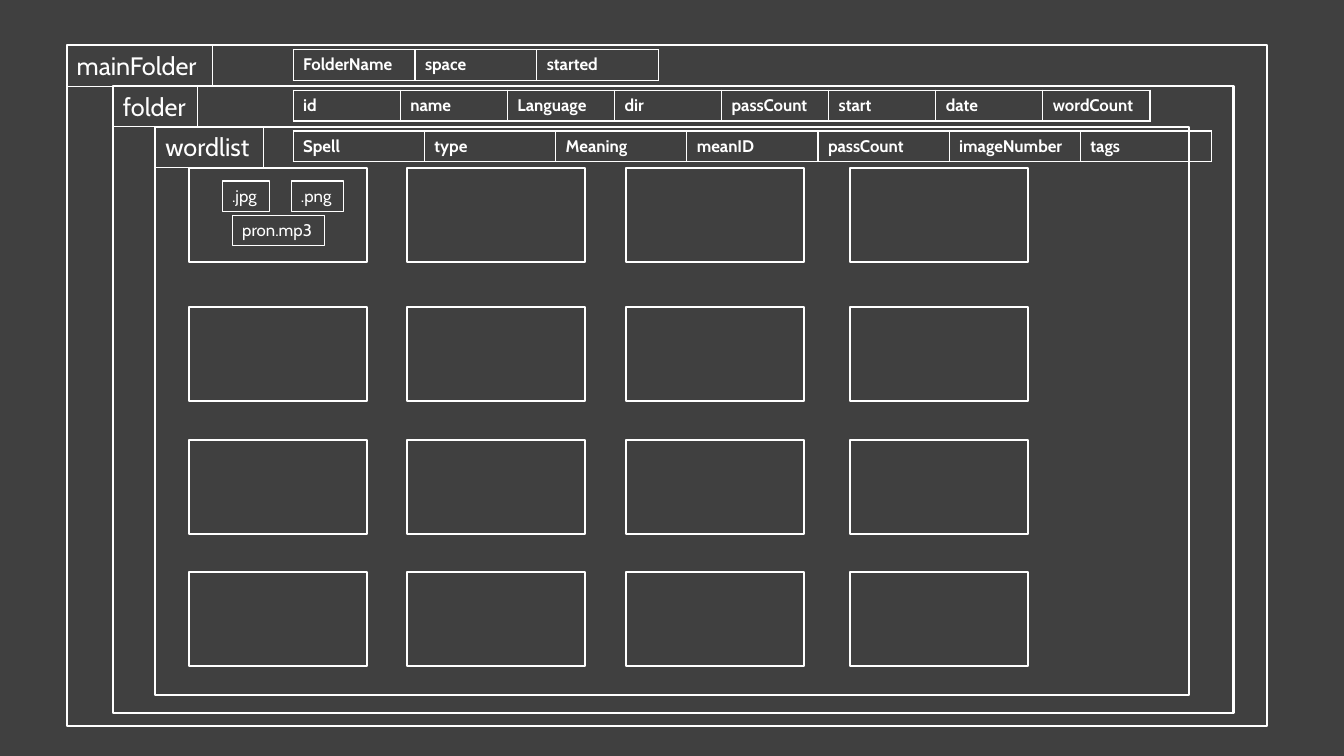
from lxml import etree
from pptx import Presentation, util as u
from pptx.dml.color import RGBColor
from pptx.enum import shapes, text
from pptx.oxml import ns

COLUMNS, ROWS = 160, 90
LABEL_HEIGHT, FIELD_HEIGHT = 4.85, 3.65
FIELDS_LEFT, FIELDS_DROP = 34.9, 0.5

# name, folder outline, label width, width of the field table, fields
FOLDERS = [
    ("mainFolder", (7.95, 5.4, 142.9, 81), 17.3, 43.5,
     ["FolderName", "space", "started"]),
    ("folder", (13.45, 10.25, 133.4, 74.6), 10.1, 102,
     ["id", "name", "Language", "dir", "passCount", "start", "date", "wordCount"]),
    ("wordlist", (18.5, 15.1, 123.1, 67.6), 12.85, 109.35,
     ["Spell", "type", "Meaning", "meanID", "passCount", "imageNumber", "tags"]),
]
WORD_LEFTS = [22.5, 48.45, 74.5, 101.2]
WORD_TOPS = [20, 36.5, 52.4, 68.1]
WORD_SIZE = (21.2, 11.2)
FILES = [(".jpg", 26.45, 21.55, 5.7), (".png", 34.65, 21.55, 6.25),
         ("pron.mp3", 27.65, 25.6, 10.95)]


def color(hex_value):
    return RGBColor.from_string(hex_value)


class Diagram:
    """Holds the style and the slide; lengths are in columns and rows of the grid."""

    font, ink, ground = "Cabin", "FFFFFF", "404040"

    def __init__(self, deck):
        self.column = deck.slide_width / COLUMNS
        self.row = deck.slide_height / ROWS
        self.slide = deck.slides.add_slide(deck.slide_layouts[6])
        background = self.slide.background.fill
        background.solid()
        background.fore_color.rgb = color(self.ground)

    def place(self, left, top, width, height):
        return (round(left * self.column), round(top * self.row),
                round(width * self.column), round(height * self.row))

    def stroke(self, line, width):
        line.color.rgb = color(self.ink)
        line.width = u.Pt(width)

    def add_words(self, frame, words, size=12, bold=False):
        run = frame.paragraphs[0].add_run()
        run.text = words
        run.font.name, run.font.size, run.font.bold = self.font, u.Pt(size), bold
        run.font.color.rgb = color(self.ink)

    def outline(self, *area):
        frame = self.slide.shapes.add_shape(
            shapes.MSO_SHAPE.RECTANGLE, *self.place(*area))
        frame.shadow.inherit = False
        frame.fill.background()
        self.stroke(frame.line, 1.5)

    def label(self, words, *area, size=12):
        tag = self.slide.shapes.add_textbox(*self.place(*area))
        self.stroke(tag.line, 0.75)
        tag.text_frame.word_wrap = False
        tag.text_frame.auto_size = text.MSO_AUTO_SIZE.SHAPE_TO_FIT_TEXT
        self.add_words(tag.text_frame, words, size=size)

    def border(self, cell):
        properties = cell._tc.get_or_add_tcPr()
        for position, side in enumerate(("lnL", "lnR", "lnT", "lnB")):
            edge = etree.Element(ns.qn(f"a:{side}"), w=str(u.Pt(1)))
            fill = etree.SubElement(edge, ns.qn("a:solidFill"))
            etree.SubElement(fill, ns.qn("a:srgbClr"), val=self.ink)
            properties.insert(position, edge)

    def field_table(self, fields, *area):
        table = self.slide.shapes.add_table(
            1, len(fields), *self.place(*area)).table
        table.first_row = table.horz_banding = False
        for cell, field in zip(table.iter_cells(), fields):
            cell.fill.background()
            self.border(cell)
            self.add_words(cell.text_frame, field, bold=True)


def main():
    deck = Presentation()
    deck.slide_width, deck.slide_height = u.Inches(13.33), u.Inches(7.5)
    diagram = Diagram(deck)

    for name, area, label_width, fields_width, fields in FOLDERS:
        left, top = area[:2]
        diagram.outline(*area)
        diagram.label(name, left, top, label_width, LABEL_HEIGHT, size=18)
        diagram.field_table(fields, FIELDS_LEFT, top + FIELDS_DROP,
                            fields_width, FIELD_HEIGHT)

    for top in WORD_TOPS:
        for left in WORD_LEFTS:
            diagram.outline(left, top, *WORD_SIZE)

    for name, left, top, width in FILES:
        diagram.label(name, left, top, width, FIELD_HEIGHT)

    deck.save("out.pptx")


if __name__ == "__main__":
    main()
